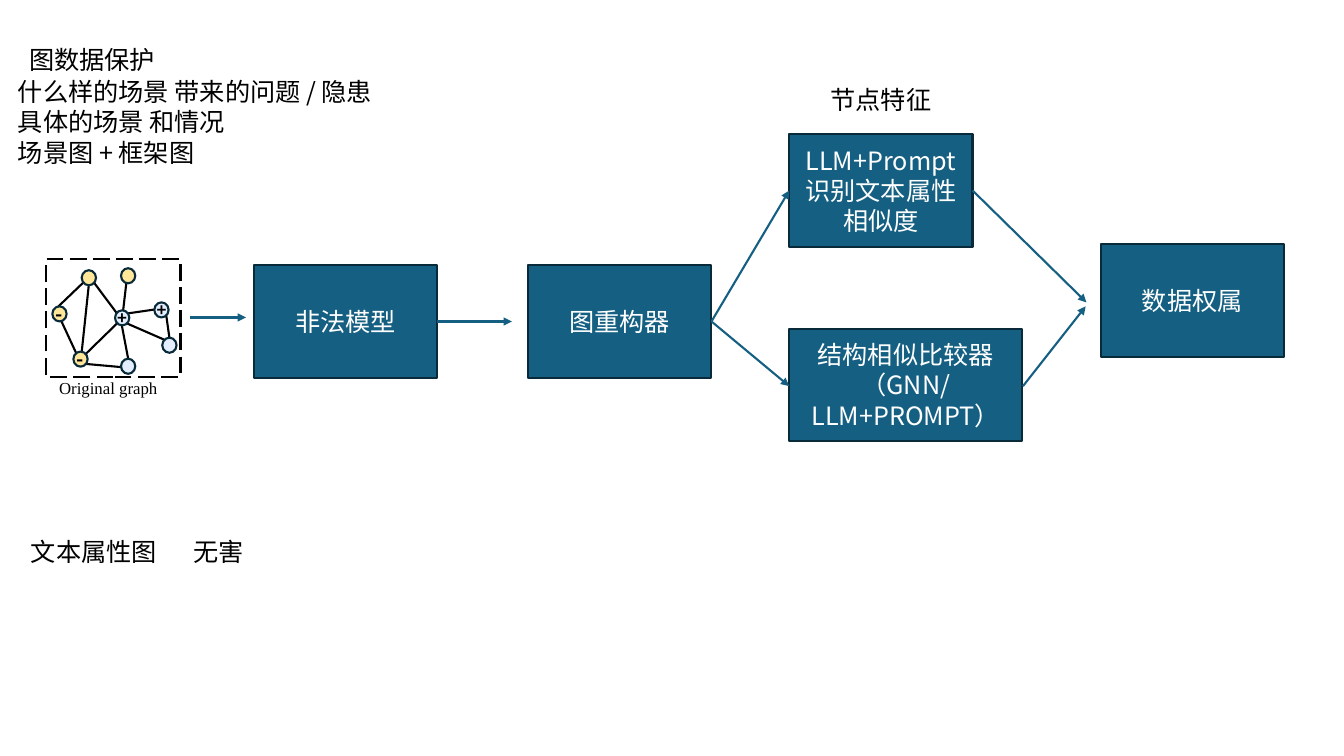
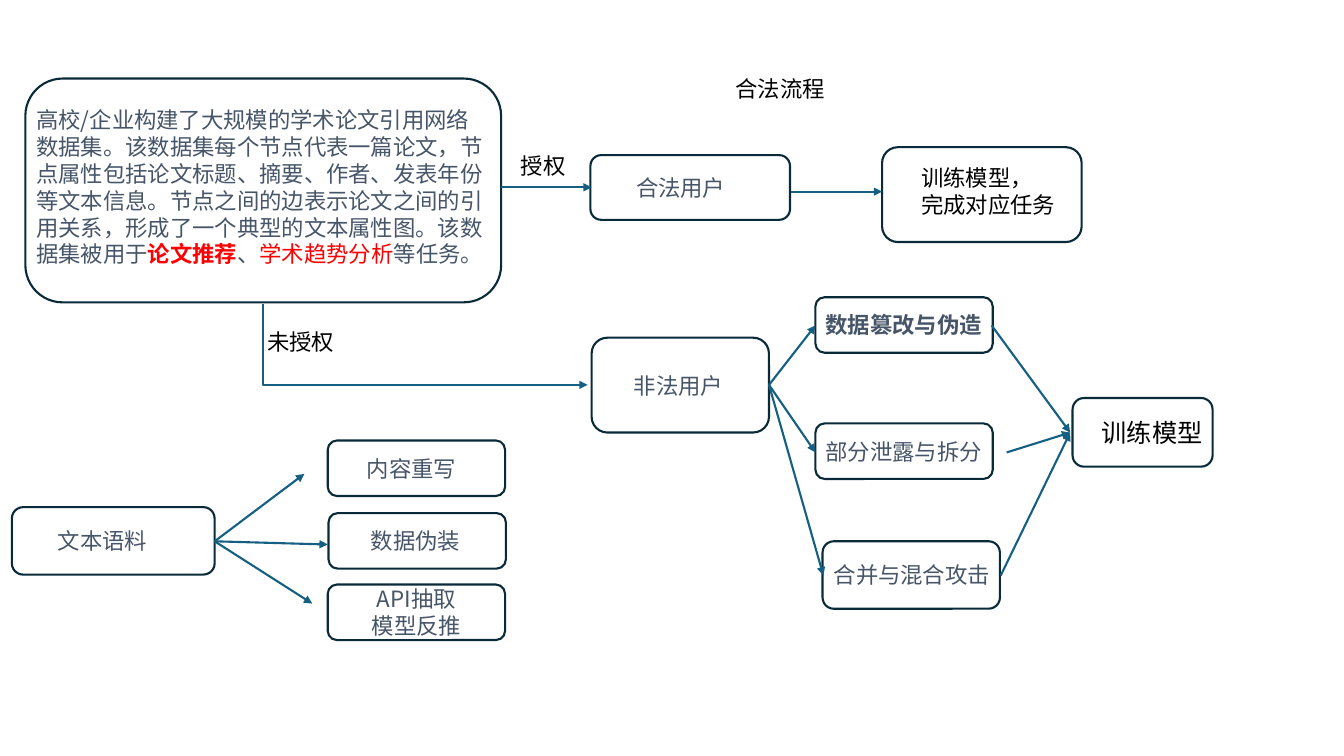
from dataclasses import dataclass
from typing import NamedTuple

from lxml import etree
from pptx import Presentation
from pptx.dml.color import RGBColor
from pptx.enum.dml import MSO_LINE
from pptx.enum.shapes import MSO_CONNECTOR, MSO_SHAPE
from pptx.enum.text import MSO_ANCHOR, MSO_AUTO_SIZE, PP_ALIGN
from pptx.oxml.ns import qn
from pptx.util import Cm, Pt

RECT, ROUND, OVAL = MSO_SHAPE.RECTANGLE, MSO_SHAPE.ROUNDED_RECTANGLE, MSO_SHAPE.OVAL
STRAIGHT, ELBOW = MSO_CONNECTOR.STRAIGHT, MSO_CONNECTOR.ELBOW
LEFT, CENTER = PP_ALIGN.LEFT, PP_ALIGN.CENTER
TOP, MIDDLE = MSO_ANCHOR.TOP, MSO_ANCHOR.MIDDLE
NO_FIT, GROW = MSO_AUTO_SIZE.NONE, MSO_AUTO_SIZE.SHAPE_TO_FIT_TEXT
LONG_DASH = MSO_LINE.LONG_DASH
TITLE_ONLY, BLANK = 5, 6

BLACK = RGBColor(0x00, 0x00, 0x00)
WHITE = RGBColor(0xFF, 0xFF, 0xFF)
TEAL = RGBColor(0x15, 0x60, 0x82)
NAVY = RGBColor(0x09, 0x2A, 0x39)
SLATE = RGBColor(0x47, 0x55, 0x69)
RED = RGBColor(0xFF, 0x00, 0x00)
YELLOW = RGBColor(0xFF, 0xE6, 0x99)
PALE_BLUE = RGBColor(0xE3, 0xEE, 0xFF)

SANS, SERIF = "Noto Sans CJK SC", "Times New Roman"
LINE_WIDTH = Pt(1.5)
NODE_W, NODE_H = 0.36, 0.38


class Span(NamedTuple):
    text: str
    color: RGBColor | None = None
    bold: bool = False


class Node(NamedTuple):
    x: float
    y: float
    fill: RGBColor
    sign: str = ""


class Line(NamedTuple):
    x1: float
    y1: float
    x2: float
    y2: float


@dataclass
class Style:
    size: float = 18
    color: RGBColor = BLACK
    align: PP_ALIGN = LEFT
    font: str = SANS
    bold: bool = False


@dataclass
class Label:
    x: float
    y: float
    w: float
    h: float
    paras: tuple
    style: Style
    wrap: bool = False


@dataclass
class Box:
    x: float
    y: float
    w: float
    h: float
    paras: tuple
    style: Style
    shape: MSO_SHAPE = ROUND
    fill: RGBColor | None = None
    left: float = 0     # left text inset
    right: float = 0    # right text inset
    lift: float = 0     # bottom text inset


BODY = Style()
SMALL = Style(16)
CAPTION = Style(12, font=SERIF)
ON_TEAL = Style(18, WHITE, CENTER)
IN_BOX = Style(16, SLATE)
IN_BOX_BOLD = Style(16, SLATE, bold=True)
IN_BOX_CENTER = Style(16, SLATE, CENTER)


def write(tf, paras: tuple, style: Style, **frame) -> None:
    """Set frame attributes, then fill it; a paragraph is a string or a list of spans."""
    for name, value in frame.items():
        setattr(tf, name, value)
    for i, para in enumerate(paras):
        p = tf.add_paragraph() if i else tf.paragraphs[0]
        p.alignment = style.align
        for span in [Span(para)] if isinstance(para, str) else para:
            r = p.add_run()
            r.text = span.text
            r.font.color.rgb = span.color or style.color
            formats = {"size": Pt(style.size), "name": style.font,
                       "bold": style.bold or span.bold}
            for name, value in formats.items():
                setattr(r.font, name, value)
            # East Asian typeface
            etree.SubElement(r.font._element, qn("a:ea"), typeface=style.font)


def add_outline(s, kind: MSO_SHAPE, x: float, y: float, w: float, h: float,
                fill: RGBColor | None = None, line: RGBColor = NAVY):
    sp = s.shapes.add_shape(kind, Cm(x), Cm(y), Cm(w), Cm(h))
    sp.shadow.inherit = False
    if fill is None:
        sp.fill.background()
    else:
        sp.fill.solid()
        sp.fill.fore_color.rgb = fill
    sp.line.color.rgb = line
    sp.line.width = LINE_WIDTH
    return sp


def add_box(s, box: Box) -> None:
    sp = add_outline(s, box.shape, box.x, box.y, box.w, box.h, box.fill)
    write(sp.text_frame, box.paras, box.style, word_wrap=True,
          vertical_anchor=MIDDLE, margin_left=Cm(box.left),
          margin_right=Cm(box.right), margin_top=0, margin_bottom=Cm(box.lift))


def add_label(s, label: Label) -> None:
    sp = s.shapes.add_textbox(Cm(label.x), Cm(label.y), Cm(label.w), Cm(label.h))
    write(sp.text_frame, label.paras, label.style,
          word_wrap=label.wrap, auto_size=GROW)


def add_line(s, line: Line, color: RGBColor = TEAL, arrow: bool = True,
             kind: MSO_CONNECTOR = STRAIGHT):
    c = s.shapes.add_connector(kind, *(Cm(v) for v in line))
    c.line.color.rgb = color
    c.line.width = LINE_WIDTH
    sp_pr = c._element.spPr
    if arrow:
        etree.SubElement(sp_pr.find(qn("a:ln")), qn("a:tailEnd"), type="triangle")
    etree.SubElement(sp_pr, qn("a:effectLst"))
    return c


def add_down_right(s, line: Line) -> None:
    """One-bend arrow: down, then right (a quarter-turned, flipped bend)."""
    cx, cy = (line.x1 + line.x2) / 2, (line.y1 + line.y2) / 2
    dx, dy = (line.x2 - line.x1) / 2, (line.y2 - line.y1) / 2
    c = add_line(s, Line(cx + dy, cy - dx, cx - dy, cy + dx), kind=ELBOW)
    sp_pr = c._element.spPr
    sp_pr.find(qn("a:xfrm")).set("rot", "16200000")
    sp_pr.find(qn("a:prstGeom")).set("prst", "bentConnector2")


def add_node(s, node: Node) -> None:
    sp = add_outline(s, OVAL, node.x, node.y, NODE_W, NODE_H, node.fill)
    if node.sign:
        size = 14 if node.sign == "-" else 12
        write(sp.text_frame, (node.sign,), Style(size, align=CENTER, bold=True),
              word_wrap=False, vertical_anchor=MIDDLE, margin_left=0,
              margin_right=0, margin_top=0, margin_bottom=0)


def teal_box(x: float, y: float, *paras: str, w: float = 4.62) -> Box:
    return Box(x, y, w, 2.84, paras, ON_TEAL, RECT, TEAL, 0.25, 0.25)


# Pipeline slide
NODES = [
    Node(2.06, 6.81, YELLOW), Node(2.9, 7.82, PALE_BLUE, "+"),
    Node(3.05, 9.04, PALE_BLUE), Node(1.85, 8.86, YELLOW, "-"),
    Node(1.32, 7.72, YELLOW, "-"), Node(4.09, 8.51, PALE_BLUE),
    Node(3.89, 7.62, PALE_BLUE, "+"), Node(3.05, 6.76, YELLOW),
]
EDGES = [
    Line(2.11, 7.11, 1.42, 7.77), Line(2.36, 7.11, 2.95, 7.9),
    Line(1.55, 8.1, 1.93, 8.92), Line(2.95, 8.15, 2.16, 8.92),
    Line(3.89, 7.8, 3.2, 7.9), Line(3.23, 9.04, 3.07, 8.2),
    Line(4.14, 8.56, 3.2, 8.15), Line(4.19, 7.95, 4.27, 8.51),
    Line(2.24, 7.16, 2.06, 8.86), Line(2.16, 9.17, 3.05, 9.25),
    Line(3.2, 6.99, 3.1, 7.85),
]
PIPELINE_BOXES = [
    teal_box(6.4, 6.68, "非法模型"),
    teal_box(13.31, 6.68, "图重构器"),
    teal_box(19.89, 3.38, "LLM+Prompt识别文本属性相似度"),
    teal_box(19.89, 8.28, "结构相似比较器", "（GNN/LLM+PROMPT）", w=5.87),
    teal_box(27.74, 6.15, "数据权属"),
]
PIPELINE_ARROWS = [
    Line(4.8, 8, 6.2, 8), Line(11.02, 8.1, 12.9, 8.1),
    Line(17.93, 8.1, 19.89, 4.8), Line(17.93, 8.1, 19.89, 9.73),
    Line(24.51, 4.8, 27.38, 7.62), Line(25.78, 9.73, 27.36, 7.72),
]
PIPELINE_LABELS = [
    Label(1.24, 9.4, 3.02, 0.76, ("Original graph",), CAPTION),
    Label(20.68, 2.01, 3.07, 1.02, ("节点特征",), BODY),
    Label(4.62, 13.39, 1.8, 1.02, ("无害",), BODY),
    Label(0.53, 13.39, 3.71, 1.02, ("文本属性图",), BODY),
    Label(0.2, 1.8, 9.6, 2.57, ("什么样的场景 带来的问题 / 隐患", "具体的场景 和情况",
                                "场景图 + 框架图"), BODY, wrap=True),
]

# Scenario slide
DATASET = [
    Span("高校/企业构建了大规模的学术论文引用网络数据集。该数据集每个节点代表一篇论文，"
         "节点属性包括论文标题、摘要、作者、发表年份等文本信息。节点之间的边表示论文之间的"
         "引用关系，形成了一个典型的文本属性图。该数据集被用于"),
    Span("论文推荐", RED, True), Span("、"), Span("学术趋势分析", RED), Span("等任务。"),
]
SCENARIO_BOXES = [
    Box(0.64, 1.98, 11.99, 5.64, (DATASET,), IN_BOX, lift=0.18),
    Box(14.88, 3.91, 5.03, 1.63, ("合法用户",), IN_BOX, left=1.07),
    Box(22.23, 3.71, 5.03, 2.39, ("训练模型，", "完成对应任务"), SMALL,
        left=0.87, lift=0.18),
    Box(14.91, 8.51, 4.47, 2.39, ("非法用户",), IN_BOX, left=0.95),
    Box(20.55, 7.49, 4.47, 1.4, ("数据篡改与伪造",), IN_BOX_BOLD, left=0.19),
    Box(20.55, 10.67, 4.47, 1.4, ("部分泄露与拆分",), IN_BOX, left=0.19),
    Box(20.73, 13.64, 4.47, 1.7, ("合并与混合攻击",), IN_BOX, left=0.2),
    Box(27.03, 10.03, 3.53, 1.73, ("训练模型",), BODY, left=0.65),
    Box(0.3, 12.78, 5.11, 1.7, ("文本语料",), IN_BOX, left=1.08),
    Box(8.26, 11.1, 4.47, 1.4, ("内容重写",), IN_BOX, left=0.92),
    Box(8.28, 12.93, 4.47, 1.4, ("数据伪装",), IN_BOX, left=1),
    Box(8.26, 14.73, 4.47, 1.4, ("API抽取", "模型反推"), IN_BOX_CENTER),
]
SCENARIO_ARROWS = [
    Line(12.62, 4.72, 14.91, 4.72), Line(19.94, 4.83, 22.23, 4.83),
    *(Line(19.38, 9.7, x, y) for x, y in ((20.55, 8.2), (20.55, 11.4), (20.75, 14.5))),
    *(Line(x, y, 26.97, 10.9) for x, y in ((24.99, 8.2), (25.37, 11.4), (25.22, 14.5))),
    *(Line(5.41, 13.64, x, y) for x, y in ((7.67, 11.94), (8.26, 13.72), (7.87, 15.21))),
]
SCENARIO_LABELS = [
    Label(12.88, 3.71, 1.65, 0.94, ("授权",), SMALL),
    Label(18.29, 1.78, 2.79, 0.94, ("合法流程",), SMALL),
    Label(6.48, 8.15, 2.24, 0.94, ("未授权",), SMALL),
]


def draw_flow(s, boxes: list[Box], arrows: list[Line], labels: list[Label]) -> None:
    for box in boxes:
        add_box(s, box)
    for arrow in arrows:
        add_line(s, arrow)
    for label in labels:
        add_label(s, label)


def build_pipeline(prs) -> None:
    s = prs.slides.add_slide(prs.slide_layouts[TITLE_ONLY])
    title = s.shapes.title
    place = {"left": 0.48, "top": 0.99, "width": 3.71, "height": 1.02}
    for name, value in place.items():
        setattr(title, name, Cm(value))
    write(title.text_frame, ("图数据保护",), BODY, word_wrap=False,
          auto_size=NO_FIT, vertical_anchor=TOP)

    # Sample graph in its dashed frame
    for edge in EDGES:
        add_line(s, edge, BLACK, arrow=False)
    for node in NODES:
        add_node(s, node)
    frame = add_outline(s, RECT, 1.17, 6.53, 3.38, 2.97, line=BLACK)
    frame.line.dash_style = LONG_DASH

    draw_flow(s, PIPELINE_BOXES, PIPELINE_ARROWS, PIPELINE_LABELS)


def build_scenario(prs) -> None:
    s = prs.slides.add_slide(prs.slide_layouts[BLANK])
    draw_flow(s, SCENARIO_BOXES, SCENARIO_ARROWS, SCENARIO_LABELS)
    add_down_right(s, Line(6.63, 7.65, 14.81, 9.7))


def main() -> None:
    prs = Presentation()
    prs.slide_width, prs.slide_height = Cm(33.87), Cm(19.05)
    build_pipeline(prs)
    build_scenario(prs)
    prs.save("out.pptx")


if __name__ == "__main__":
    main()
